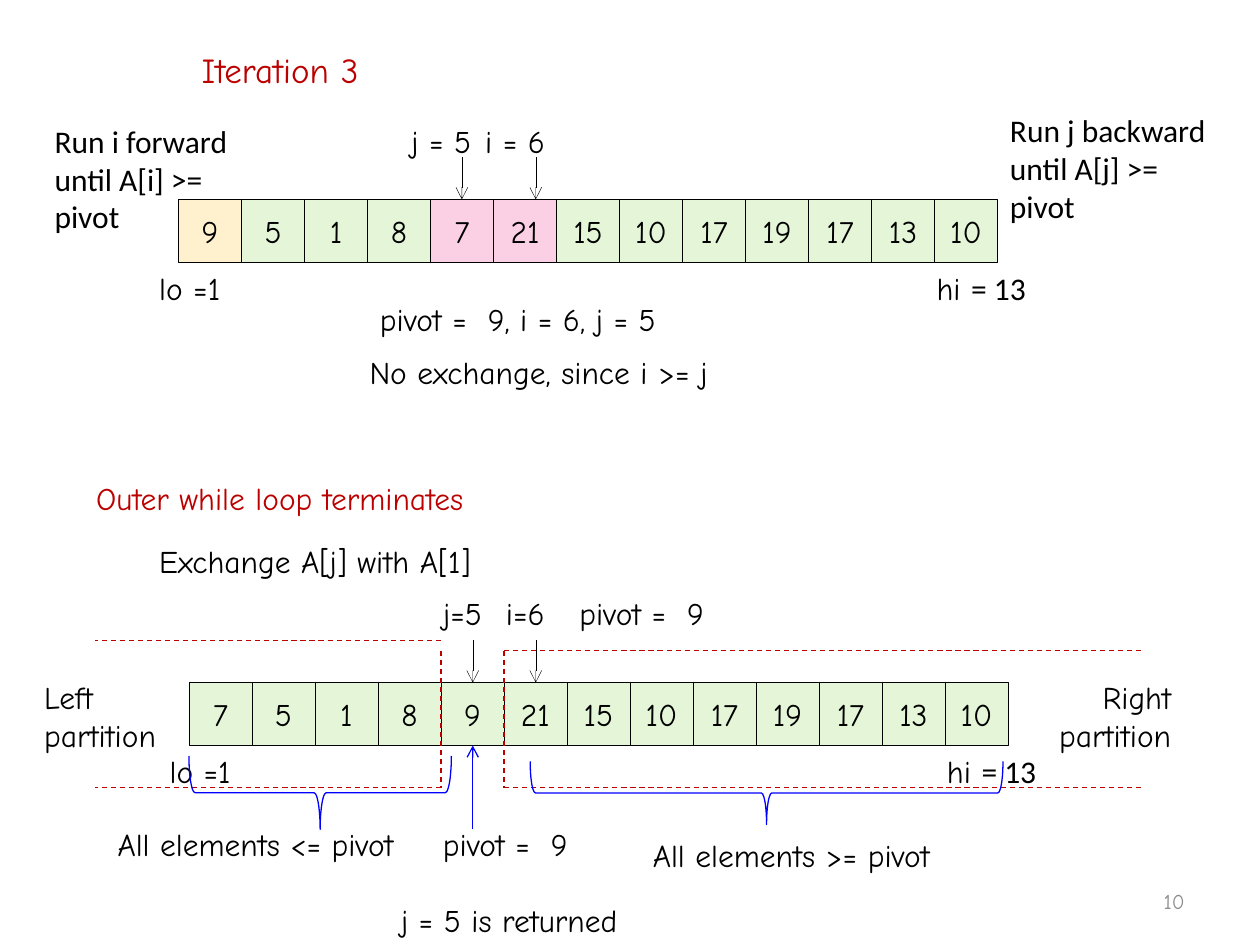
from lxml import etree
from pptx import Presentation
from pptx import util as u
from pptx.dml.color import RGBColor
from pptx.enum import dml, shapes, text
from pptx.oxml import ns

BLACK = RGBColor(0x00, 0x00, 0x00)
RED = RGBColor(0xBB, 0x00, 0x00)
BLUE = RGBColor(0x00, 0x00, 0xFF)
GREY = RGBColor(0x8C, 0x8C, 0x8C)
GREEN_FILL = RGBColor(0xE5, 0xF6, 0xD8)
PIVOT_FILL = RGBColor(0xFF, 0xF1, 0xCE)
CROSSED_FILL = RGBColor(0xFB, 0xD0, 0xE4)

HAND = "Comic Neue"
PLAIN = "Calibri"
CELL = 1.27
LINE_HEIGHT = 1.02
LEFT, CENTER, RIGHT = text.PP_ALIGN.LEFT, text.PP_ALIGN.CENTER, text.PP_ALIGN.RIGHT


def place(shape, left, top, width, height):
    """Set the frame of a shape in centimetres."""
    shape.left, shape.top = u.Cm(left), u.Cm(top)
    shape.width, shape.height = u.Cm(width), u.Cm(height)


def add_run(paragraph, words, font=HAND, size=18, color=BLACK):
    """Append one formatted run."""
    run = paragraph.add_run()
    run.text = words
    run.font.name = font
    run.font.size = u.Pt(size)
    run.font.color.rgb = color


def write(shape, lines, align=LEFT, wrap=False, **style):
    """Write lines of text into a shape that grows with them."""
    frame = shape.text_frame
    frame.word_wrap = wrap
    frame.auto_size = text.MSO_AUTO_SIZE.SHAPE_TO_FIT_TEXT
    frame.vertical_anchor = text.MSO_ANCHOR.TOP
    for index, words in enumerate(lines):
        paragraph = frame.add_paragraph() if index else frame.paragraphs[0]
        paragraph.alignment = align
        add_run(paragraph, words, **style)


def add_label(slide, left, top, width, *lines, **style):
    """Add a text box with one paragraph per line."""
    box = slide.shapes.add_textbox(
        u.Cm(left), u.Cm(top), u.Cm(width), u.Cm(LINE_HEIGHT * len(lines)))
    write(box, lines, **style)
    return box


def add_line(slide, start, end, color, width, dashed=False, arrow=False):
    """Draw a straight line, optionally dashed or with an arrowhead."""
    line = slide.shapes.add_connector(
        shapes.MSO_CONNECTOR.STRAIGHT, *(u.Cm(value) for value in start + end))
    line.line.color.rgb = color
    line.line.width = u.Pt(width)
    if dashed:
        line.line.dash_style = dml.MSO_LINE.DASH
    properties = line.element.spPr
    if arrow:
        outline = properties.find(ns.qn("a:ln"))
        etree.SubElement(outline, ns.qn("a:tailEnd"), type="arrow")
    etree.SubElement(properties, ns.qn("a:effectLst"))


def add_index_arrow(slide, x, row_top):
    """Point down at a cell of the row that starts at row_top."""
    add_line(slide, (x, row_top - 0.85), (x, row_top), BLACK, 0.25, arrow=True)


def add_cell(slide, left, top, value, fill):
    """Draw one array cell."""
    cell = slide.shapes.add_shape(
        shapes.MSO_SHAPE.RECTANGLE, u.Cm(left), u.Cm(top), u.Cm(CELL), u.Cm(CELL))
    cell.shadow.inherit = False
    cell.fill.solid()
    cell.fill.fore_color.rgb = fill
    cell.line.color.rgb = BLACK
    cell.line.width = u.Pt(0.25)
    cell.text_frame.vertical_anchor = text.MSO_ANCHOR.MIDDLE
    paragraph = cell.text_frame.paragraphs[0]
    paragraph.alignment = CENTER
    add_run(paragraph, str(value))


def add_array(slide, left, top, values, special_fills):
    """Draw a row of cells with its lo and hi labels below."""
    for index, value in enumerate(values):
        fill = special_fills.get(index, GREEN_FILL)
        add_cell(slide, left + index * CELL, top, value, fill)
    add_label(slide, left - 0.64, top + CELL, 1.83, "lo =1")
    high = add_label(slide, left + 15.03, top + CELL, 2.36, "hi ")
    add_run(high.text_frame.paragraphs[0], "= 13", font=PLAIN)


def add_brace(slide, left, top, width, height):
    """Draw a brace that lies below a span and points down."""
    brace = slide.shapes.add_shape(shapes.MSO_SHAPE.LEFT_BRACE, 0, 0, 0, 0)
    place(brace, left + (width - height) / 2, top + (height - width) / 2,
          height, width)
    brace.rotation = 270
    brace.shadow.inherit = False
    brace.fill.background()
    brace.line.color.rgb = BLUE
    brace.line.width = u.Pt(0.75)


def add_partition_frame(slide, inner, outer, top):
    """Draw a dashed frame that is open at its outer side."""
    upper, bottom = 13.12, 15.88
    for start, end in (((inner, upper), (inner, bottom)),
                       ((inner, top), (outer, top)),
                       ((inner, bottom), (outer, bottom))):
        add_line(slide, start, end, RED, 0.75, dashed=True)


def add_third_iteration(slide):
    """Build the upper half: the scan that ends with i past j."""
    row_top = 4.02
    place(slide.shapes.title, 3.81, 0.85, 4.27, 1.11)
    write(slide.shapes.title, ["Iteration 3"], size=20, color=RED)
    add_label(slide, 0.85, 2.33, 4.87, "Run i forward until A[i] >= pivot",
              wrap=True, font=PLAIN)
    add_label(slide, 20.11, 2.12, 4.87, "Run j backward until A[j] >= pivot",
              wrap=True, font=PLAIN)
    add_array(slide, 3.6, row_top, [9, 5, 1, 8, 7, 21, 15, 10, 17, 19, 17, 13, 10],
              {0: PIVOT_FILL, 4: CROSSED_FILL, 5: CROSSED_FILL})
    add_label(slide, 8.04, 2.33, 1.88, "j = 5")
    add_label(slide, 9.53, 2.33, 1.8, "i = 6")
    for x in (9.31, 10.8):
        add_index_arrow(slide, x, row_top)
    add_label(slide, 7.41, 5.93, 7.04, "pivot =  9, i = 6, j = 5")
    add_label(slide, 7.2, 6.99, 7.98, "No exchange, since i >= j")


def add_final_partition(slide):
    """Build the lower half: the pivot between both partitions."""
    row_top = 13.76
    add_label(slide, 1.69, 9.53, 8.86, "Outer while loop terminates", color=RED)
    add_label(slide, 2.96, 10.8, 7.65, "Exchange A[j] with A[1]")
    add_array(slide, 3.81, row_top, [7, 5, 1, 8, 9, 21, 15, 10, 17, 19, 17, 13, 10], {})
    add_label(slide, 8.68, 11.85, 1.5, "j=5")
    add_label(slide, 9.95, 11.85, 1.4, "i=6")
    add_label(slide, 11.43, 11.85, 3.28, "pivot =  9")
    for x in (9.53, 10.8):
        add_index_arrow(slide, x, row_top)
    add_partition_frame(slide, 8.89, 1.91, 12.91)
    add_partition_frame(slide, 10.16, 23.07, 13.12)
    add_label(slide, 0.64, 13.55, 3.12, "Left", "partition")
    add_label(slide, 20.74, 13.55, 3.12, "Right", "partition", align=RIGHT)
    add_brace(slide, 3.81, 15.24, 5.29, 1.48)
    add_brace(slide, 10.69, 15.35, 9.53, 1.27)
    add_label(slide, 2.12, 16.51, 6.63, "All elements <= pivot")
    add_label(slide, 12.91, 16.72, 6.63, "All elements >= pivot")
    add_label(slide, 8.68, 16.51, 3.28, "pivot =  9")
    add_line(slide, (9.53, 16.72), (9.53, 15.03), BLUE, 0.75, arrow=True)
    add_label(slide, 7.83, 18.03, 5.41, "j = 5 is returned")


def main():
    """Build and save the presentation."""
    presentation = Presentation()
    presentation.slide_width, presentation.slide_height = u.Cm(25.4), u.Cm(19.05)
    slide = presentation.slides.add_slide(presentation.slide_layouts[5])
    add_third_iteration(slide)
    add_final_partition(slide)
    add_label(slide, 18.2, 17.78, 5.93, "10", align=RIGHT, wrap=True,
              size=12, color=GREY)
    presentation.save("out.pptx")


main()
